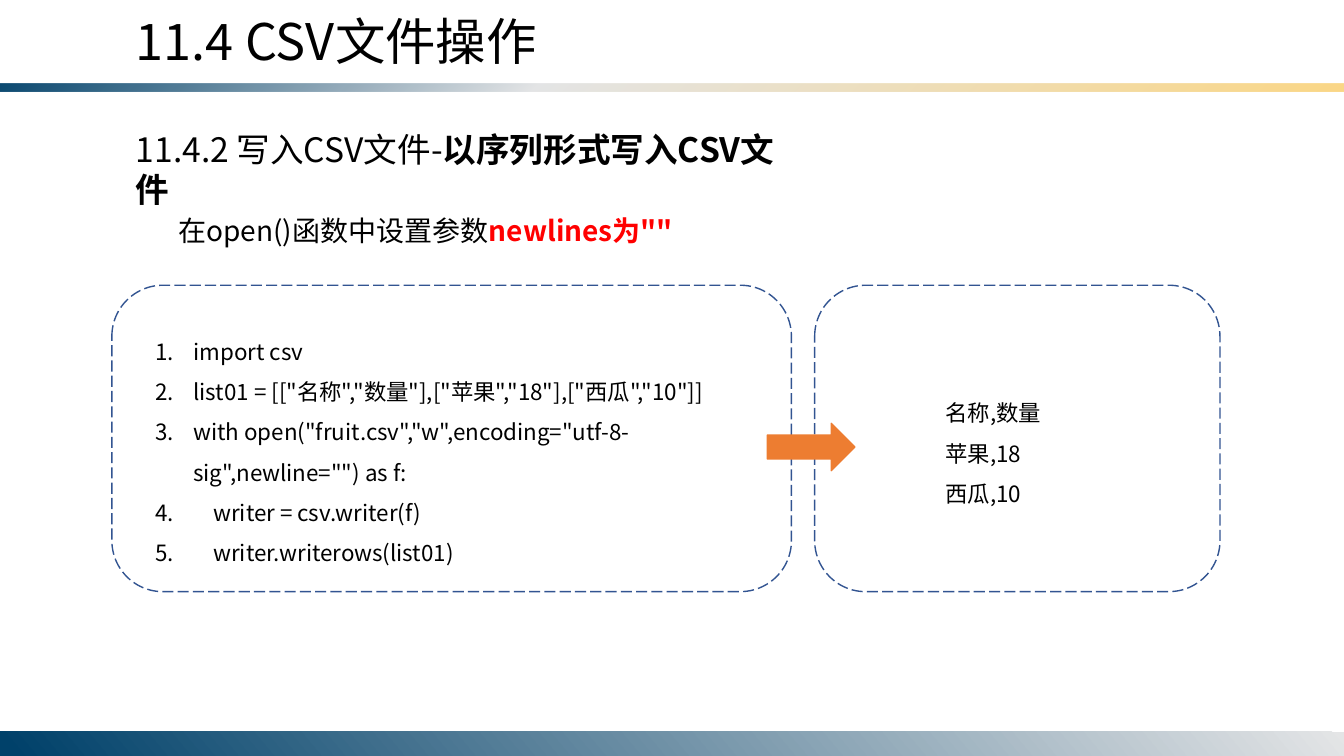
from lxml import etree
from pptx import Presentation
from pptx.dml.color import RGBColor
from pptx.enum import dml, shapes, text
from pptx.oxml import ns
from pptx.util import Inches, Pt

COLOURS = {
    "black": "000000",
    "red": "FF0000",
    "outline": "325491",
    "arrow": "ED7D31",
    "navy": "00416A",
    "mist": "E4E5E6",
    "sand": "FBD786",
}
FONT = "Noto Sans CJK SC"
CODE = [
    'import csv',
    'list01 = [["名称","数量"],["苹果","18"],["西瓜","10"]]',
    'with open("fruit.csv","w",encoding="utf-8-sig",newline="") as f:',
    '    writer = csv.writer(f)',
    '    writer.writerows(list01)',
]
OUTPUT = ["名称,数量", "苹果,18", "西瓜,10"]


def colour(name):
    return RGBColor.from_string(COLOURS[name])


def add_span(para, content, size=16, fill="black", bold=False):
    span = para.add_run()
    span.text = content
    span.font.name = FONT
    span.font.size = Pt(size)
    span.font.bold = bold
    span.font.color.rgb = colour(fill)
    east_asian = etree.SubElement(span.font._element, ns.qn("a:ea"))
    east_asian.set("typeface", FONT)


def add_text(page, box, lines, spacing=None, indent=0, hanging=0, **style):
    """Each line is a string, or a list of (string, format) pairs."""
    frame = page.shapes.add_textbox(*map(Inches, box)).text_frame
    frame.word_wrap = True
    frame.auto_size = text.MSO_AUTO_SIZE.SHAPE_TO_FIT_TEXT
    for index, line in enumerate(lines):
        para = frame.paragraphs[0] if index == 0 else frame.add_paragraph()
        properties = para._p.get_or_add_pPr()
        if indent:
            properties.set("indent", str(Inches(indent)))
        if hanging:
            properties.set("marL", str(Inches(hanging)))
            properties.set("indent", str(-Inches(hanging)))
            number = etree.SubElement(properties, ns.qn("a:buAutoNum"))
            number.set("type", "arabicPeriod")
        if spacing:
            para.line_spacing = spacing
        spans = [(line, {})] if isinstance(line, str) else line
        for content, extra in spans:
            add_span(para, content, **{**style, **extra})


def add_plain_shape(page, kind, box):
    shape = page.shapes.add_shape(kind, *map(Inches, box))
    shape.shadow.inherit = False
    return shape


def add_gradient_bar(page, box, stops, angle):
    bar = add_plain_shape(page, shapes.MSO_SHAPE.RECTANGLE, box)
    bar.line.fill.background()
    bar.fill.gradient()
    gradient = bar._element.spPr.find(ns.qn("a:gradFill"))
    stop_list = gradient.find(ns.qn("a:gsLst"))
    for old_stop in list(stop_list):
        stop_list.remove(old_stop)
    for position, name, opacity in stops:
        stop = etree.SubElement(stop_list, ns.qn("a:gs"), pos=str(position * 1000))
        value = etree.SubElement(stop, ns.qn("a:srgbClr"), val=COLOURS[name])
        if opacity < 100:
            etree.SubElement(value, ns.qn("a:alpha"), val=str(opacity * 1000))
    direction = gradient.find(ns.qn("a:lin"))
    direction.set("ang", str(angle * 60000))
    direction.set("scaled", "0")


def add_panel(page, box, lines, text_offset, text_size, **style):
    """Dashed panel with its text placed relative to the panel corner."""
    left, top = box[:2]
    place = (left + text_offset[0], top + text_offset[1], *text_size)
    add_text(page, place, lines, spacing=1.5, **style)
    panel = add_plain_shape(page, shapes.MSO_SHAPE.ROUNDED_RECTANGLE, box)
    panel.fill.background()
    panel.line.color.rgb = colour("outline")
    panel.line.width = Pt(1)
    panel.line.dash_style = dml.MSO_LINE.LONG_DASH


def add_frame(page, width, height):
    # Gradient bars under the title and along the bottom edge
    add_gradient_bar(page, (0, 0.83, width, 0.08),
                     [(0, "navy", 95), (40, "mist", 100), (100, "sand", 100)], 50)
    add_gradient_bar(page, (0, height - 0.24, width, 0.24),
                     [(0, "mist", 100), (99, "navy", 100)], 140)


def add_headings(page, left):
    add_text(page, (left, 0.05, 6.12, 0.71), ["11.4 CSV文件操作"], size=36)
    add_text(page, (left, 1.23, 6.84, 0.5),
             [[("11.4.2 写入CSV文件-", {}), ("以序列形式写入CSV文件", {"bold": True})]],
             size=24)
    add_text(page, (left - 0.14, 1.9, 11.12, 0.6),
             [[("在open()函数中设置参数", {}),
               ('newlines为""', {"bold": True, "fill": "red"})]],
             size=20, spacing=1.5, indent=0.56)


def add_example(page, top, height):
    # Code on the left, file contents on the right
    add_panel(page, (1.11, top, 6.74, height), CODE, (0.33, 0.34), (6.07, 2.52),
              hanging=0.38)
    add_panel(page, (8.08, top, 4.02, height), OUTPUT, (1.2, 0.95), (1.62, 1.31))
    # Arrow from code to result
    arrow = add_plain_shape(page, shapes.MSO_SHAPE.RIGHT_ARROW,
                            (7.61, top + 1.37, 0.87, 0.47))
    arrow.fill.solid()
    arrow.fill.fore_color.rgb = colour("arrow")
    arrow.line.color.rgb = colour("arrow")
    arrow.line.width = Pt(1)


def main():
    width, height = 13.33, 7.5
    deck = Presentation()
    deck.slide_width, deck.slide_height = Inches(width), Inches(height)
    page = deck.slides.add_slide(deck.slide_layouts[6])
    add_frame(page, width, height)
    add_headings(page, 1.25)
    add_example(page, 2.83, 3.04)
    deck.save("out.pptx")


if __name__ == "__main__":
    main()
